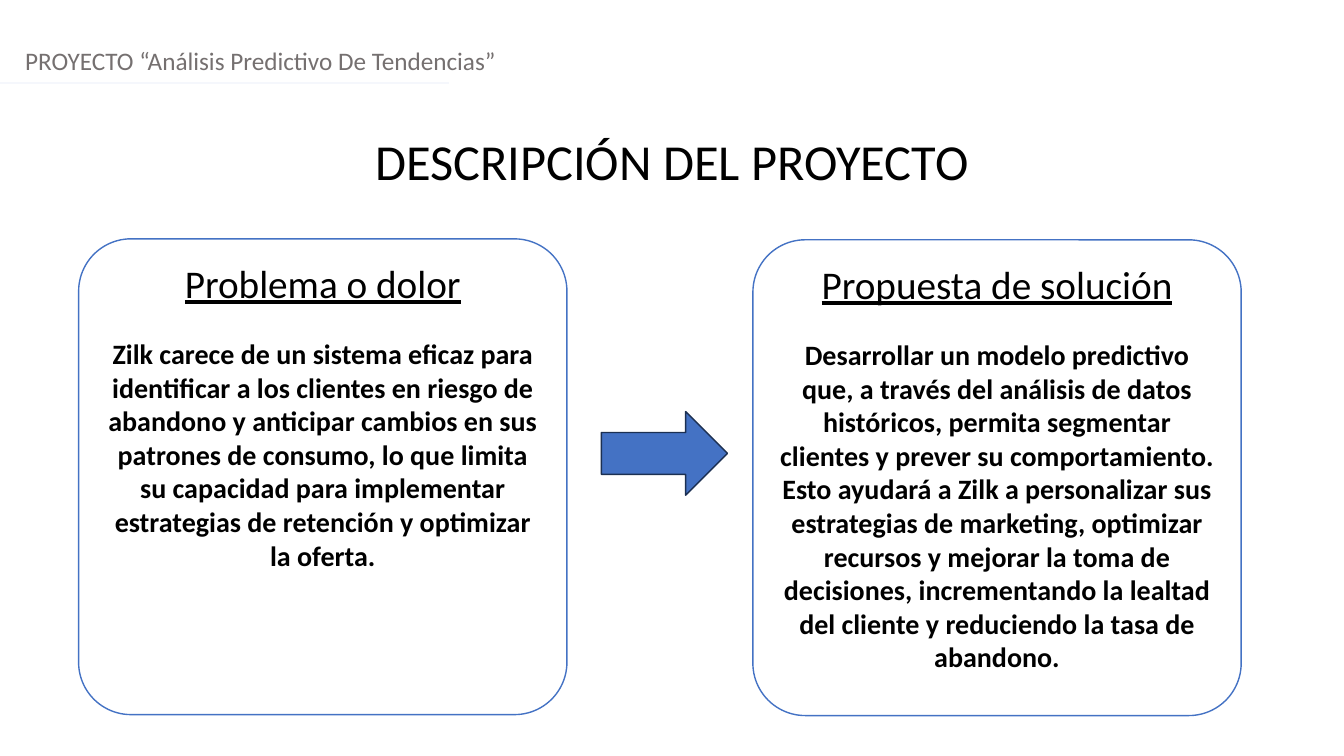
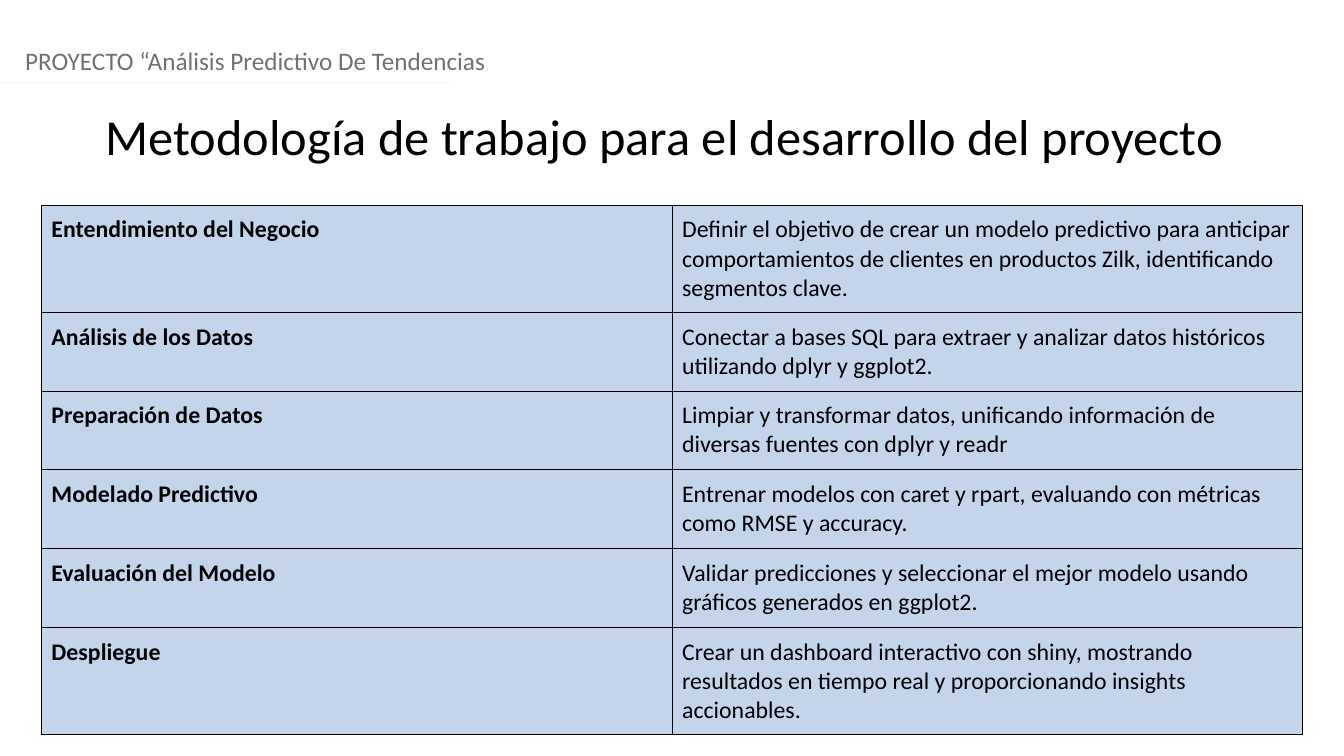
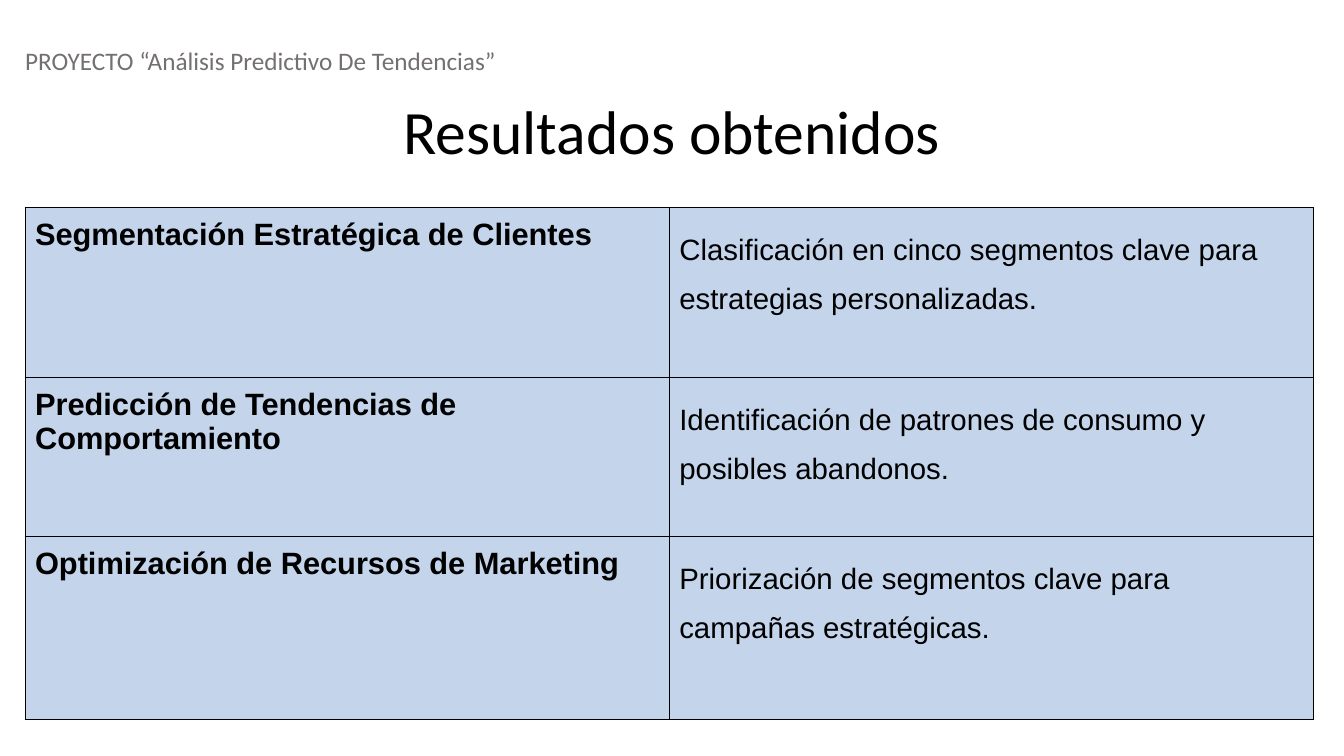
from dataclasses import dataclass

from lxml.etree import SubElement
from pptx import Presentation
from pptx.dml.color import RGBColor
from pptx.enum.shapes import MSO_CONNECTOR, MSO_SHAPE
from pptx.enum.text import MSO_ANCHOR, PP_ALIGN
from pptx.oxml import parse_xml
from pptx.oxml.ns import nsdecls, qn
from pptx.util import Inches, Pt


@dataclass(frozen=True)
class Theme:
    heading_font: str = "Calibri"
    results_font: str = "Arial"
    ink: str = "000000"
    muted: str = "757070"
    paper: str = "FFFFFF"
    accent: str = "4472C4"
    arrow_edge: str = "1C3052"
    header_rule: str = "F5F7FC"
    cell_fill: str = "C3D4EB"
    header_size: int = 18
    title_size: int = 36
    big_title_size: int = 44
    card_title_size: int = 28
    card_body_size: int = 20
    method_size: int = 17
    result_label_size: int = 22
    result_text_size: int = 21


@dataclass(frozen=True)
class Box:
    left: float
    top: float
    width: float
    height: float

    def inside(self, left, top, width, height):
        """Return a part of this box, given in percent of its size."""
        return Box(self.left + self.width * left / 100,
                   self.top + self.height * top / 100,
                   self.width * width / 100,
                   self.height * height / 100)

    def lengths(self):
        return [Inches(side) for side in (self.left, self.top, self.width, self.height)]


THEME = Theme()
PAGE = Box(0, 0, 13.33, 7.5)
PROJECT = "PROYECTO “Análisis Predictivo De Tendencias"

PROBLEM = (
    "Problema o dolor",
    "Zilk carece de un sistema eficaz para identificar a los clientes en riesgo de "
    "abandono y anticipar cambios en sus patrones de consumo, lo que limita su "
    "capacidad para implementar estrategias de retención y optimizar la oferta.",
)
SOLUTION = (
    "Propuesta de solución",
    "Desarrollar un modelo predictivo que, a través del análisis de datos históricos, "
    "permita segmentar clientes y prever su comportamiento. Esto ayudará a Zilk a "
    "personalizar sus estrategias de marketing, optimizar recursos y mejorar la toma "
    "de decisiones, incrementando la lealtad del cliente y reduciendo la tasa de abandono.",
)
METHOD_STEPS = [
    ("Entendimiento del Negocio",
     "Definir el objetivo de crear un modelo predictivo para anticipar comportamientos "
     "de clientes en productos Zilk, identificando segmentos clave."),
    ("Análisis de los Datos",
     "Conectar a bases SQL para extraer y analizar datos históricos utilizando dplyr y ggplot2."),
    ("Preparación de Datos",
     "Limpiar y transformar datos, unificando información de diversas fuentes con dplyr y readr"),
    ("Modelado Predictivo",
     "Entrenar modelos con caret y rpart, evaluando con métricas como RMSE y accuracy."),
    ("Evaluación del Modelo",
     "Validar predicciones y seleccionar el mejor modelo usando gráficos generados en ggplot2."),
    ("Despliegue",
     "Crear un dashboard interactivo con shiny, mostrando resultados en tiempo real y "
     "proporcionando insights accionables."),
]
RESULTS = [
    ("Segmentación Estratégica de Clientes",
     "Clasificación en cinco segmentos clave para estrategias personalizadas."),
    ("Predicción de Tendencias de Comportamiento",
     "Identificación de patrones de consumo y posibles abandonos."),
    ("Optimización de Recursos de Marketing",
     "Priorización de segmentos clave para campañas estratégicas."),
]


def color(code):
    return RGBColor.from_string(code)


def add_span(para, text, size, ink=THEME.ink, font=THEME.heading_font,
             bold=False, underline=False):
    span = para.add_run()
    span.text = text
    span.font.name = font
    span.font.size = Pt(size)
    span.font.color.rgb = color(ink)
    span.font.bold = bold
    span.font.underline = underline


def add_label(slide, box, text, size, ink=THEME.ink, align=PP_ALIGN.LEFT):
    frame = slide.shapes.add_textbox(*box.lengths()).text_frame
    frame.word_wrap = True
    para = frame.paragraphs[0]
    para.alignment = align
    add_span(para, text, size, ink)


def add_outlined(slide, preset, box, fill, edge):
    shape = slide.shapes.add_shape(preset, *box.lengths())
    shape.shadow.inherit = False
    shape.fill.solid()
    shape.fill.fore_color.rgb = color(fill)
    shape.line.color.rgb = color(edge)
    shape.line.width = Pt(1)
    return shape


# Shared parts: project header, faint rule and centred title
def add_header(slide, box, text):
    add_label(slide, box.inside(1.13, 5.33, 98.87, 5.33), text, THEME.header_size, THEME.muted)


def add_header_rule(slide, box):
    rule = box.inside(0, 11, 33.4, 0)
    left, top, width, _ = rule.lengths()
    line = slide.shapes.add_connector(MSO_CONNECTOR.STRAIGHT, left, top, left + width, top)
    line.line.color.rgb = color(THEME.header_rule)
    line.line.width = Pt(1.25)
    SubElement(line._element.spPr, qn("a:effectLst"))


def add_title(slide, box, text, size=THEME.title_size):
    add_label(slide, box, text, size, align=PP_ALIGN.CENTER)


# Cards
def add_card(slide, box, heading, body):
    card = add_outlined(slide, MSO_SHAPE.ROUNDED_RECTANGLE, box, THEME.paper, THEME.accent)
    card.adjustments[0] = 0.11
    frame = card.text_frame
    frame.word_wrap = True
    frame.vertical_anchor = MSO_ANCHOR.TOP
    heading_para, body_para = frame.paragraphs[0], frame.add_paragraph()
    heading_para.alignment = body_para.alignment = PP_ALIGN.CENTER
    heading_para.space_after = Pt(21.6)
    add_span(heading_para, heading, THEME.card_title_size, underline=True)
    add_span(body_para, body, THEME.card_body_size, bold=True)


def add_problem_to_solution(slide, box):
    add_card(slide, box.inside(0, 0, 42, 100), *PROBLEM)
    add_card(slide, box.inside(58, 0.2, 42, 100), *SOLUTION)
    add_outlined(slide, MSO_SHAPE.RIGHT_ARROW, box.inside(44.97, 36.3, 10.84, 17.58),
                 THEME.accent, THEME.arrow_edge)


# Tables
def style_cell(cell):
    cell.fill.solid()
    cell.fill.fore_color.rgb = color(THEME.cell_fill)
    cell.margin_left = cell.margin_right = Inches(0.1)
    cell.margin_top = cell.margin_bottom = Inches(0.1)
    properties = cell._tc.get_or_add_tcPr()
    for position, side in enumerate(("lnL", "lnR", "lnT", "lnB")):
        properties.insert(position, parse_xml(
            f'<a:{side} {nsdecls("a")} w="{Pt(0.75)}"><a:solidFill>'
            f'<a:srgbClr val="{THEME.ink}"/></a:solidFill></a:{side}>'))


def add_two_column_table(slide, box, entries, weights, font, label_size, text_size, spacing=1.0):
    table = slide.shapes.add_table(len(entries), 2, *box.lengths()).table
    table.first_row = table.horz_banding = False
    for row, entry, weight in zip(table.rows, entries, weights):
        row.height = Inches(box.height * weight / sum(weights))
        label, description = row.cells
        for cell, text, size in zip((label, description), entry, (label_size, text_size)):
            style_cell(cell)
            add_span(cell.text_frame.paragraphs[0], text, size, font=font, bold=cell is label)
        description.text_frame.paragraphs[0].line_spacing = spacing


# Slides
def build_description(slide, box):
    add_header(slide, box, PROJECT + "”")
    add_header_rule(slide, box)
    add_title(slide, box.inside(0, 16.53, 100, 9.47), "DESCRIPCIÓN DEL PROYECTO")
    add_problem_to_solution(slide, box.inside(5.85, 31.6, 86.5, 62.93))


def build_method(slide, box):
    add_header(slide, box, PROJECT)
    add_header_rule(slide, box)
    add_title(slide, box.inside(0, 13.2, 98.9, 9.47),
              "Metodología de trabajo para el desarrollo del proyecto")
    add_two_column_table(slide, box.inside(3.08, 27.14, 93.85, 70.05), METHOD_STEPS,
                         (1.06, 0.78, 0.78, 0.78, 0.78, 1.06), THEME.heading_font,
                         THEME.method_size, THEME.method_size)


def build_results(slide, box):
    add_header(slide, box, PROJECT + "”")
    add_title(slide, box.inside(0, 11.6, 100, 11.2), "Resultados obtenidos",
              THEME.big_title_size)
    add_two_column_table(slide, box.inside(1.86, 27.45, 95.87, 67.7), RESULTS,
                         (1.68, 1.58, 1.81), THEME.results_font,
                         THEME.result_label_size, THEME.result_text_size, spacing=1.5)


def main():
    deck = Presentation()
    deck.slide_width, deck.slide_height = Inches(PAGE.width), Inches(PAGE.height)
    blank = deck.slide_layouts[6]
    for build in (build_description, build_method, build_results):
        build(deck.slides.add_slide(blank), PAGE)
    deck.save("out.pptx")


if __name__ == "__main__":
    main()
